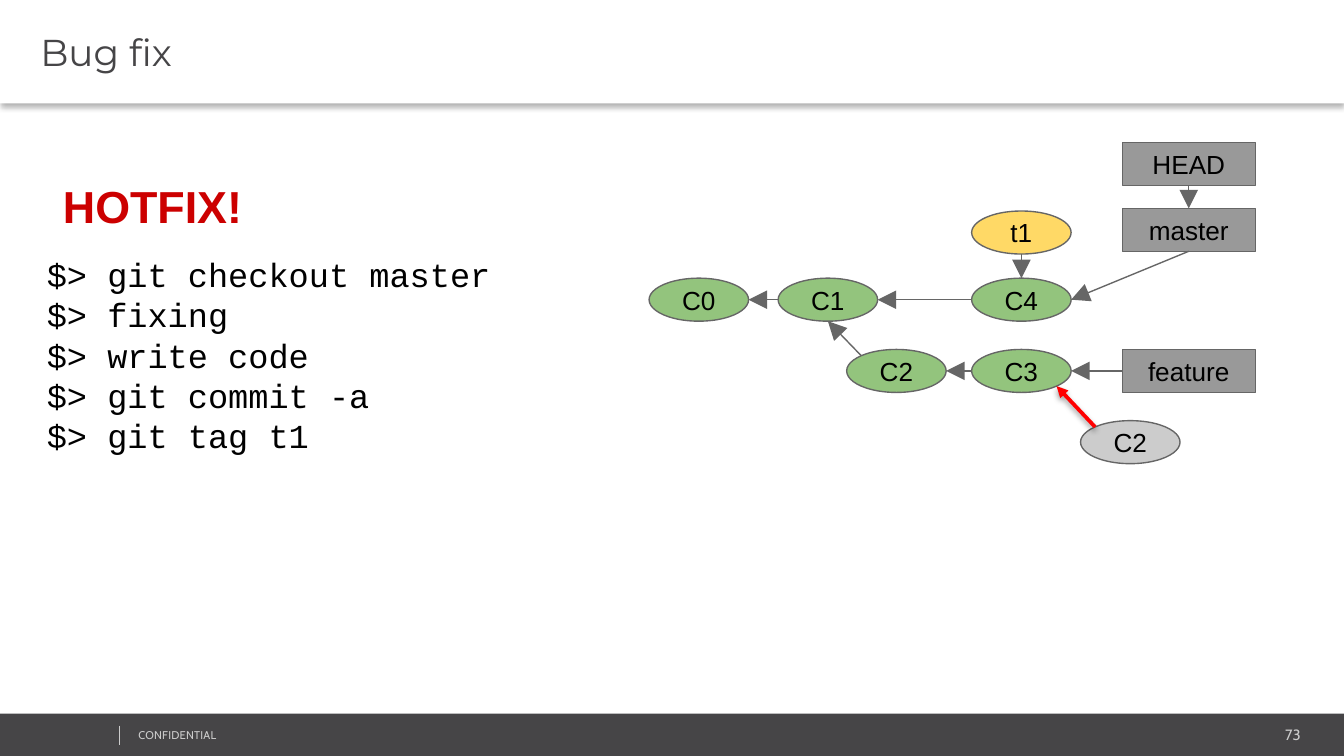
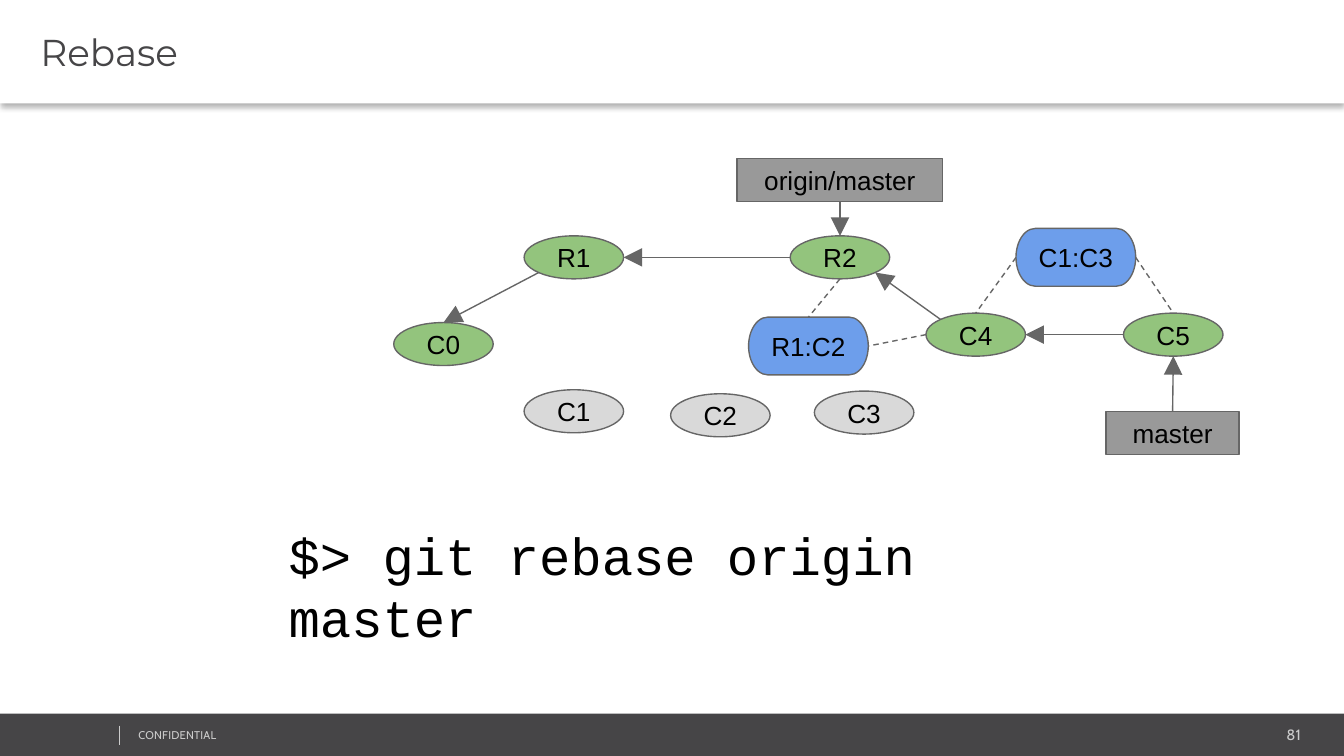
from enum import Enum
from math import sqrt
from typing import NamedTuple, Optional

from lxml.etree import SubElement
from pptx import Presentation
from pptx.dml.color import RGBColor
from pptx.enum.dml import MSO_LINE
from pptx.enum.shapes import MSO_CONNECTOR, MSO_SHAPE
from pptx.enum.text import MSO_ANCHOR, MSO_AUTO_SIZE, PP_ALIGN
from pptx.oxml.ns import qn
from pptx.util import Emu, Inches, Pt

SLIDE_WIDTH, SLIDE_HEIGHT = Inches(10), Inches(5.625)
CELL = SLIDE_WIDTH / 100

COLORS = {
    "paper": "FFFFFF", "slate": "464547", "footer": "CCCCCC", "ink": "000000",
    "outline": "666666", "commit": "93C47D", "branch": "999999", "tag": "FFD966",
    "pending": "CCCCCC", "replaced": "D9D9D9", "patch": "6D9EEB",
    "alert": "CC0000", "arrow": "FF0000",
}


class Area(NamedTuple):
    col: float
    row: float
    cols: float
    rows: float

    def emu(self) -> list[Emu]:
        return [grid(value) for value in self]


class Lettering(NamedTuple):
    font: str
    size: float
    color: str = "ink"
    bold: bool = False
    align: PP_ALIGN = PP_ALIGN.LEFT


class Shadow(NamedTuple):
    opacity: int
    blur: float
    distance: float


class NodeKind(NamedTuple):
    outline: MSO_SHAPE
    cols: float
    rows: float
    fill: str


class Node(NamedTuple):
    label: str
    kind: NodeKind
    col: float
    row: float

    def area(self) -> Area:
        return Area(self.col, self.row, self.kind.cols, self.kind.rows)


class Stroke(NamedTuple):
    color: str = "outline"
    width: float = 0.75
    dashed: bool = False
    arrow: Optional[str] = None
    shadow: Optional[Shadow] = None


class Side(Enum):
    TOP = (0, -1)
    LEFT = (-1, 0)
    BOTTOM = (0, 1)
    RIGHT = (1, 0)
    TOP_LEFT = (-1 / sqrt(2), -1 / sqrt(2))
    BOTTOM_LEFT = (-1 / sqrt(2), 1 / sqrt(2))
    BOTTOM_RIGHT = (1 / sqrt(2), 1 / sqrt(2))


class Link(NamedTuple):
    start: str
    leaving: Side
    end: str
    entering: Side
    stroke: Stroke


class Passage(NamedTuple):
    area: Area
    lines: list[str]
    lettering: Lettering


class Page(NamedTuple):
    title: str
    number: str
    nodes: dict[str, Node]
    links: list[Link]
    passages: list[Passage]


SITES = [Side.TOP, Side.LEFT, Side.BOTTOM, Side.RIGHT]

TITLE = Lettering("Montserrat", 20, "slate")
LABEL = Lettering("Arial", 14, align=PP_ALIGN.CENTER)
NUMBER = Lettering("Cabin", 8, "footer", align=PP_ALIGN.RIGHT)
NOTICE = Lettering("Cabin", 6, "footer")
CODE = Lettering("Courier New", 18)
BIG_CODE = Lettering("Courier New", 28)
ALERT = Lettering("Arial", 24, "alert", bold=True)

BODY_INSETS = (0.1, 0.1, 0.1, 0.1)
FOOTER_INSETS = (0.07, 0.04, 0.07, 0.04)
TITLE_INSETS = (0.3, 0.04, 0.07, 0.04)

COMMIT = NodeKind(MSO_SHAPE.OVAL, 7.4, 3.2, "commit")
TAG = COMMIT._replace(fill="tag")
PENDING = COMMIT._replace(fill="pending")
REPLACED = COMMIT._replace(fill="replaced")
BRANCH = NodeKind(MSO_SHAPE.RECTANGLE, 9.9, 3.2, "branch")
REMOTE = BRANCH._replace(cols=15.3)
PATCH = NodeKind(MSO_SHAPE.FLOWCHART_TERMINATOR, 8.9, 4.3, "patch")

PARENT = Stroke(arrow="lg")
ORIGIN = Stroke(dashed=True)
ADDED = Stroke("arrow", 2, arrow="med", shadow=Shadow(38, 3.1, 1.6))


def grid(cells: float) -> Emu:
    return Emu(round(cells * CELL))


def rgb(name: str) -> RGBColor:
    return RGBColor.from_string(COLORS[name])


def add_effects(properties, shadow: Optional[Shadow]) -> None:
    effects = SubElement(properties, qn("a:effectLst"))
    if shadow:
        outer = SubElement(effects, qn("a:outerShdw"), blurRad=str(Pt(shadow.blur)),
                           dist=str(Pt(shadow.distance)), dir="5400000",
                           algn="t", rotWithShape="0")
        tint = SubElement(outer, qn("a:srgbClr"), val=COLORS["ink"])
        SubElement(tint, qn("a:alpha"), val=str(shadow.opacity * 1000))


def write(frame, lines: list[str], lettering: Lettering, insets=BODY_INSETS,
          anchor: MSO_ANCHOR = MSO_ANCHOR.TOP) -> None:
    frame.word_wrap = True
    frame.auto_size = MSO_AUTO_SIZE.NONE
    frame.vertical_anchor = anchor
    frame.margin_left, frame.margin_top, frame.margin_right, frame.margin_bottom = map(
        Inches, insets)
    frame.text = "\n".join(lines)
    for paragraph in frame.paragraphs:
        paragraph.alignment = lettering.align
        paragraph.font.name = lettering.font
        paragraph.font.size = Pt(lettering.size)
        paragraph.font.bold = lettering.bold
        paragraph.font.color.rgb = rgb(lettering.color)


def add_passage(slide, passage: Passage, insets=BODY_INSETS):
    box = slide.shapes.add_textbox(*passage.area.emu())
    write(box.text_frame, passage.lines, passage.lettering, insets)
    return box


def add_block(slide, outline: MSO_SHAPE, area: Area, fill: str):
    block = slide.shapes.add_shape(outline, *area.emu())
    block.shadow.inherit = False
    block.fill.solid()
    block.fill.fore_color.rgb = rgb(fill)
    return block


def add_line(slide, start: tuple[float, float], end: tuple[float, float], stroke: Stroke):
    line = slide.shapes.add_connector(
        MSO_CONNECTOR.STRAIGHT, *map(grid, (*start, *end)))
    line.line.color.rgb = rgb(stroke.color)
    line.line.width = Pt(stroke.width)
    if stroke.dashed:
        line.line.dash_style = MSO_LINE.DASH
    properties = line._element.spPr
    if stroke.arrow:
        SubElement(properties.find(qn("a:ln")), qn("a:tailEnd"),
                   type="triangle", w=stroke.arrow, len=stroke.arrow)
    add_effects(properties, stroke.shadow)
    return line


def add_node(slide, node: Node):
    block = add_block(slide, node.kind.outline, node.area(), node.kind.fill)
    block.line.color.rgb = rgb("outline")
    block.line.width = Pt(0.75)
    write(block.text_frame, [node.label], LABEL, anchor=MSO_ANCHOR.MIDDLE)
    return block


def edge_point(node: Node, side: Side) -> tuple[float, float]:
    across, down = side.value
    col, row, cols, rows = node.area()
    return col + cols * (1 + across) / 2, row + rows * (1 + down) / 2


def add_link(slide, link: Link, nodes: dict[str, Node], blocks: dict) -> None:
    line = add_line(slide, edge_point(nodes[link.start], link.leaving),
                    edge_point(nodes[link.end], link.entering), link.stroke)
    for connect, key, side in ((line.begin_connect, link.start, link.leaving),
                               (line.end_connect, link.end, link.entering)):
        if nodes[key].kind.outline != MSO_SHAPE.OVAL:
            connect(blocks[key], SITES.index(side))


def add_title(slide, text: str) -> None:
    title = slide.shapes.title
    title.left, title.top, title.width, title.height = Area(0, 0, 100, 7.7).emu()
    title.fill.solid()
    title.fill.fore_color.rgb = rgb("paper")
    add_effects(title._element.spPr, Shadow(30, 3.1, 2))
    write(title.text_frame, [text], TITLE, TITLE_INSETS, MSO_ANCHOR.MIDDLE)


def add_footer(slide, number: str) -> None:
    band = add_block(slide, MSO_SHAPE.RECTANGLE, Area(0, 53.1, 100, 3.15), "slate")
    band.line.fill.background()
    add_passage(slide, Passage(Area(81.2, 53.6, 16.3, 2.1), [number], NUMBER),
                FOOTER_INSETS)
    notice = add_passage(slide, Passage(Area(9.6, 53.8, 25.3, 1.8), ["CONFIDENTIAL"],
                                        NOTICE), FOOTER_INSETS)
    notice.text_frame.paragraphs[0].runs[0]._r.get_or_add_rPr().set("spc", "10")
    add_line(slide, (8.9, 54), (8.9, 55.4), Stroke("footer", 0.25))


def add_page(deck, page: Page) -> None:
    slide = deck.slides.add_slide(deck.slide_layouts[5])
    add_title(slide, page.title)
    add_footer(slide, page.number)
    blocks = {key: add_node(slide, node) for key, node in page.nodes.items()}
    for link in page.links:
        add_link(slide, link, page.nodes, blocks)
    for passage in page.passages:
        add_passage(slide, passage)


BUG_FIX = Page(
    "Bug fix", "73",
    {
        "c0": Node("С0", COMMIT, 48.3, 20.7),
        "c1": Node("С1", COMMIT, 57.9, 20.7),
        "c4": Node("С4", COMMIT, 72.3, 20.7),
        "c2": Node("С2", COMMIT, 63, 26),
        "c3": Node("С3", COMMIT, 72.3, 26),
        "t1": Node("t1", TAG, 72.3, 15.7),
        "next": Node("С2", PENDING, 80.4, 31.3),
        "head": Node("HEAD", BRANCH, 83.5, 10.6),
        "master": Node("master", BRANCH, 83.5, 15.5),
        "feature": Node("feature", BRANCH, 83.5, 26),
    },
    [
        Link("c1", Side.LEFT, "c0", Side.RIGHT, PARENT),
        Link("c4", Side.LEFT, "c1", Side.RIGHT, PARENT),
        Link("c2", Side.TOP_LEFT, "c1", Side.BOTTOM, PARENT),
        Link("c3", Side.LEFT, "c2", Side.RIGHT, PARENT),
        Link("head", Side.BOTTOM, "master", Side.TOP, PARENT),
        Link("master", Side.BOTTOM, "c4", Side.RIGHT, PARENT),
        Link("t1", Side.BOTTOM, "c4", Side.TOP, PARENT),
        Link("feature", Side.LEFT, "c3", Side.RIGHT, PARENT),
        Link("next", Side.TOP_LEFT, "c3", Side.BOTTOM_RIGHT, ADDED),
    ],
    [
        Passage(Area(2.5, 17.9, 43.7, 16.3),
                ["$> git checkout master", "$> fixing", "$> write code",
                 "$> git commit -a", "$> git tag t1"], CODE),
        Passage(Area(3.7, 12.3, 18.7, 6.4), ["HOTFIX!"], ALERT),
    ],
)

REBASE = Page(
    "Rebase", "81",
    {
        "c0": Node("С0", COMMIT, 29.3, 24),
        "c1": Node("С1", REPLACED, 39, 29),
        "c2": Node("С2", REPLACED, 49.9, 29.3),
        "c3": Node("С3", REPLACED, 60.6, 29.1),
        "r1": Node("R1", COMMIT, 39, 17.55),
        "r2": Node("R2", COMMIT, 58.8, 17.55),
        "c4": Node("C4", COMMIT, 68.9, 23.3),
        "c5": Node("C5", COMMIT, 83.6, 23.3),
        "r1c2": Node("R1:C2", PATCH, 55.7, 23.6),
        "c1c3": Node("C1:C3", PATCH, 75.6, 17),
        "master": Node("master", BRANCH, 82.3, 30.6),
        "remote": Node("origin/master", REMOTE, 54.85, 11.8),
    },
    [
        Link("r1", Side.BOTTOM_LEFT, "c0", Side.TOP, PARENT),
        Link("r2", Side.LEFT, "r1", Side.RIGHT, PARENT),
        Link("c4", Side.TOP_LEFT, "r2", Side.BOTTOM_RIGHT, PARENT),
        Link("c5", Side.LEFT, "c4", Side.RIGHT, PARENT),
        Link("remote", Side.BOTTOM, "r2", Side.TOP, PARENT),
        Link("master", Side.TOP, "c5", Side.BOTTOM, PARENT),
        Link("c1c3", Side.LEFT, "c4", Side.TOP, ORIGIN),
        Link("c1c3", Side.RIGHT, "c5", Side.TOP, ORIGIN),
        Link("r2", Side.BOTTOM, "r1c2", Side.TOP, ORIGIN),
        Link("c4", Side.LEFT, "r1c2", Side.RIGHT, ORIGIN),
    ],
    [Passage(Area(20.5, 37.9, 63, 8.4), ["$> git rebase origin master"], BIG_CODE)],
)


def main() -> None:
    deck = Presentation()
    deck.slide_width, deck.slide_height = SLIDE_WIDTH, SLIDE_HEIGHT
    for page in (BUG_FIX, REBASE):
        add_page(deck, page)
    deck.save("out.pptx")


if __name__ == "__main__":
    main()
